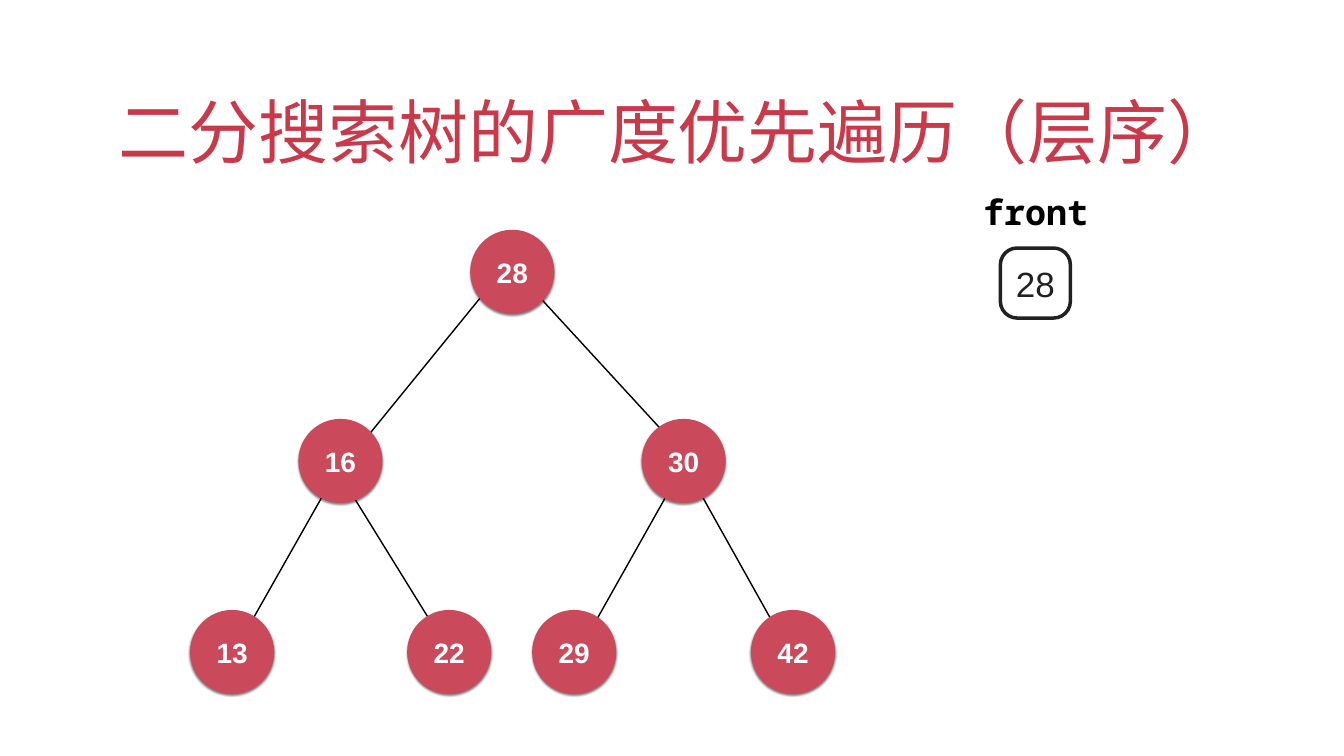
from dataclasses import dataclass

import lxml.etree
import pptx
import pptx.dml.color
import pptx.enum.shapes
import pptx.enum.text
import pptx.oxml.ns
import pptx.util

Cm = pptx.util.Cm
Pt = pptx.util.Pt
Shapes = pptx.enum.shapes.MSO_SHAPE


@dataclass(frozen=True)
class Theme:
    title: str = "C9394A"
    node: str = "CA495A"
    node_text: str = "FFFFFF"
    ink: str = "000000"
    queue: str = "212121"
    font: str = "Arial"
    mono: str = "Noto Sans Mono"
    title_size: int = 100
    node_size: int = 40
    queue_size: int = 50


@dataclass(frozen=True)
class Node:
    value: int
    center_x: float
    center_y: float


@dataclass(frozen=True)
class Edge:
    start_x: float
    start_y: float
    end_x: float
    end_y: float


THEME = Theme()
NODE_DIAMETER = 4.24
LEVELS = (13.7, 23.23, 32.86)

NODES = (
    Node(28, 25.82, LEVELS[0]),
    Node(16, 17.16, LEVELS[1]),
    Node(30, 34.46, LEVELS[1]),
    Node(13, 11.7, LEVELS[2]),
    Node(22, 22.64, LEVELS[2]),
    Node(29, 28.94, LEVELS[2]),
    Node(42, 39.97, LEVELS[2]),
)

EDGES = (
    Edge(34.93, 23.39, 26.04, 13.72),
    Edge(17.09, 23.75, 25.55, 13.36),
    Edge(29.08, 32.99, 34.44, 23.47),
    Edge(22.63, 32.82, 16.94, 23.62),
    Edge(40.01, 33.27, 34.37, 23.19),
    Edge(11.73, 32.99, 17.12, 23.47),
)


def rgb(color: str) -> pptx.dml.color.RGBColor:
    return pptx.dml.color.RGBColor.from_string(color)


def write_text(shape, text: str, *, size: int, color: str, font: str = THEME.font,
               bold: bool = False, wrap: bool = True,
               anchor=pptx.enum.text.MSO_ANCHOR.MIDDLE,
               auto_size=pptx.enum.text.MSO_AUTO_SIZE.NONE):
    """Fill a shape with one centred paragraph and return the paragraph."""
    frame = shape.text_frame
    frame.margin_left = frame.margin_right = Cm(0.15)
    frame.margin_top = frame.margin_bottom = Cm(0.15)
    frame.word_wrap = wrap
    frame.auto_size = auto_size
    frame.vertical_anchor = anchor
    paragraph = frame.paragraphs[0]
    paragraph.alignment = pptx.enum.text.PP_ALIGN.CENTER
    run = paragraph.add_run()
    run.text = text
    run.font.name = font
    run.font.size = Pt(size)
    run.font.bold = bold
    run.font.color.rgb = rgb(color)
    return paragraph


def add_effects(shape) -> lxml.etree._Element:
    """Add an empty effect list, which switches off the theme shadow."""
    properties = shape._element.spPr
    return lxml.etree.SubElement(properties, pptx.oxml.ns.qn("a:effectLst"))


def add_soft_shadow(shape) -> None:
    qn = pptx.oxml.ns.qn
    shadow = lxml.etree.SubElement(
        add_effects(shape), qn("a:outerShdw"), blurRad=str(Pt(3)),
        dist=str(Pt(2)), dir="5400000", rotWithShape="0")
    color = lxml.etree.SubElement(shadow, qn("a:srgbClr"), val=THEME.ink)
    lxml.etree.SubElement(color, qn("a:alpha"), val="50000")


def draw_edge(shapes, edge: Edge) -> None:
    line = shapes.add_connector(
        pptx.enum.shapes.MSO_CONNECTOR.STRAIGHT,
        Cm(edge.start_x), Cm(edge.start_y), Cm(edge.end_x), Cm(edge.end_y))
    line.line.color.rgb = rgb(THEME.ink)
    line.line.width = Pt(2)
    add_effects(line)


def draw_node(shapes, node: Node) -> None:
    radius = NODE_DIAMETER / 2
    circle = shapes.add_shape(
        Shapes.OVAL, Cm(node.center_x - radius), Cm(node.center_y - radius),
        Cm(NODE_DIAMETER), Cm(NODE_DIAMETER))
    circle.fill.solid()
    circle.fill.fore_color.rgb = rgb(THEME.node)
    circle.line.fill.background()
    add_soft_shadow(circle)
    write_text(circle, str(node.value), size=THEME.node_size,
               color=THEME.node_text, bold=True)


def draw_title(slide, text: str) -> None:
    title = slide.shapes.title
    title.left, title.top = Cm(4.93), Cm(3.23)
    title.width, title.height = Cm(57.86), Cm(5.64)
    paragraph = write_text(title, text, size=THEME.title_size, color=THEME.title,
                           anchor=pptx.enum.text.MSO_ANCHOR.BOTTOM)
    paragraph._p.get_or_add_pPr().set("indent", str(Cm(0.64)))


def draw_queue(shapes, label: str, value: int) -> None:
    caption = shapes.add_textbox(Cm(49.38), Cm(9.47), Cm(5.64), Cm(2.34))
    write_text(caption, label, size=THEME.queue_size, color=THEME.ink,
               font=THEME.mono, bold=True, wrap=False,
               auto_size=pptx.enum.text.MSO_AUTO_SIZE.SHAPE_TO_FIT_TEXT)

    cell = shapes.add_shape(Shapes.ROUNDED_RECTANGLE,
                            Cm(50.42), Cm(12.5), Cm(3.53), Cm(3.53))
    cell.adjustments[0] = 0.24
    cell.shadow.inherit = False
    cell.fill.background()
    cell.line.color.rgb = rgb(THEME.queue)
    cell.line.width = Pt(5)
    write_text(cell, str(value), size=THEME.queue_size, color=THEME.queue)


def main() -> None:
    presentation = pptx.Presentation()
    presentation.slide_width = Cm(67.74)
    presentation.slide_height = Cm(38.1)
    slide = presentation.slides.add_slide(presentation.slide_layouts[5])

    draw_title(slide, "二分搜索树的广度优先遍历（层序）")

    # Search tree: edges lie behind the nodes
    tree = slide.shapes.add_group_shape()
    for edge in EDGES:
        draw_edge(tree.shapes, edge)
    for node in NODES:
        draw_node(tree.shapes, node)

    # Queue holding the root
    draw_queue(slide.shapes, "front", NODES[0].value)

    presentation.save("out.pptx")


if __name__ == "__main__":
    main()
